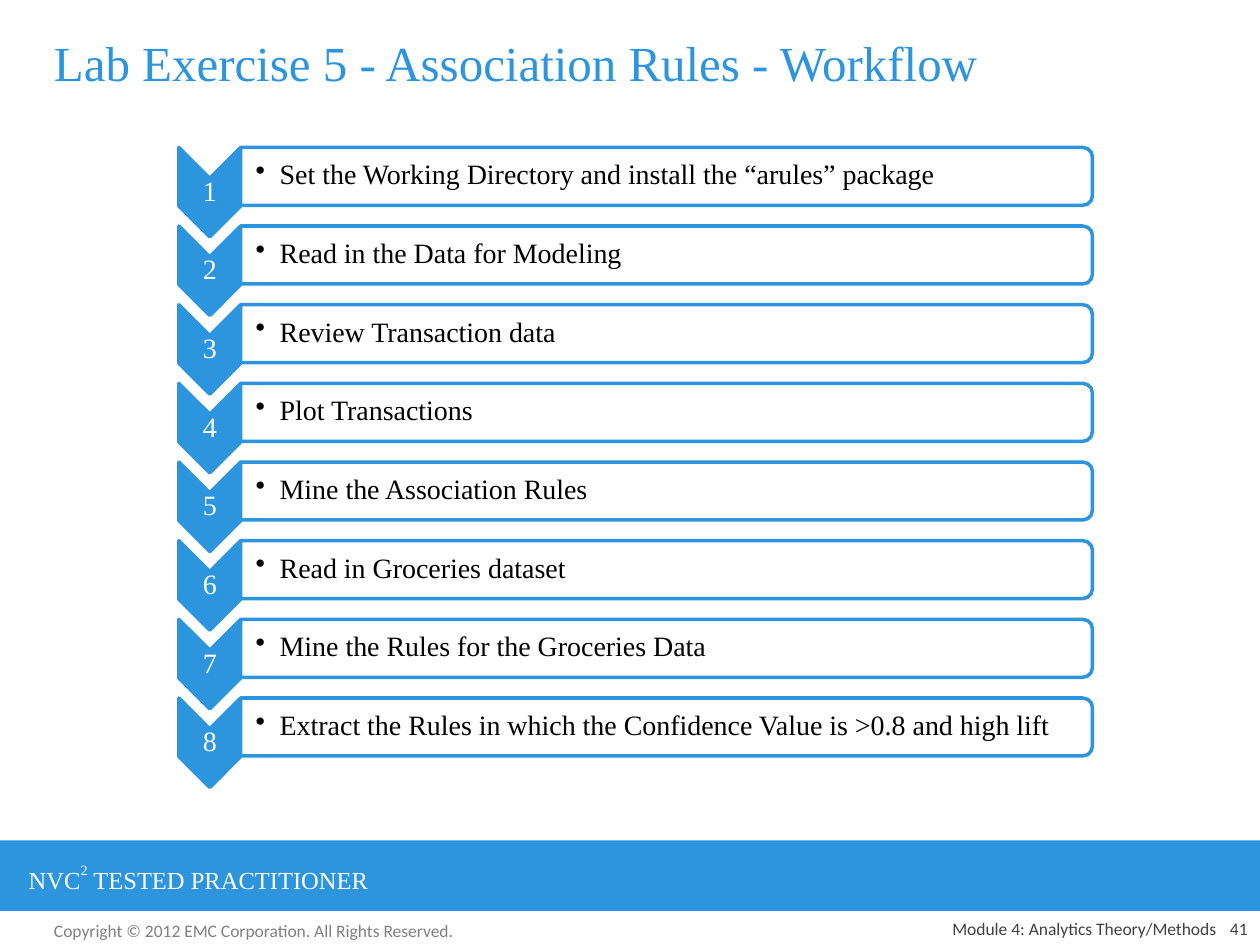
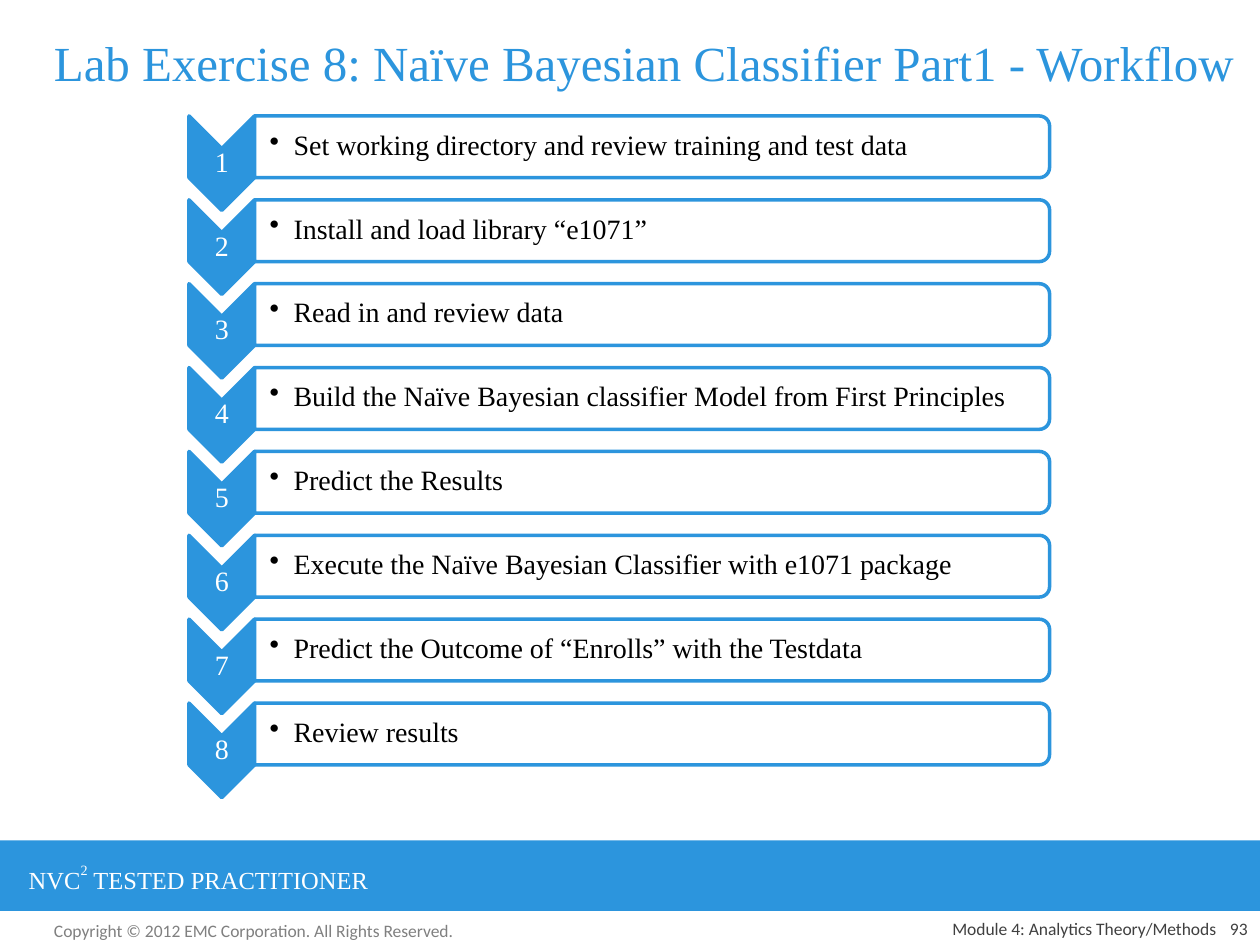
"""Build two lab workflow slides, each a column of numbered steps."""
import pptx
import pptx.util
import pptx.dml.color
import pptx.enum.shapes
import pptx.enum.text
import pptx.oxml

Inches, Pt = pptx.util.Inches, pptx.util.Pt
Color = pptx.dml.color.RGBColor
Shape = pptx.enum.shapes.MSO_SHAPE
Align = pptx.enum.text.PP_ALIGN
Anchor = pptx.enum.text.MSO_ANCHOR

BLUE = Color(0x2C, 0x95, 0xDD)
WHITE = Color(0xFF, 0xFF, 0xFF)
BLACK = Color(0x00, 0x00, 0x00)
GRAY = Color(0x80, 0x80, 0x80)
DARK = Color(0x40, 0x40, 0x40)
SERIF, SANS = "Times New Roman", "Calibri"
XMLNS = 'xmlns:a="http://schemas.openxmlformats.org/drawingml/2006/main"'

RIGHTS = "Copyright © 2012 EMC Corporation. All Rights Reserved."
MODULE = "Module 4: Analytics Theory/Methods"
BRAND = ("NVC", "2", " TESTED PRACTITIONER")

LABS = [
    {
        "title": "Lab Exercise 5 - Association Rules - Workflow",
        "page": "41", "width": 9.25,
        "left": 1.42, "top": 1.17, "pitch": 4.37 / 7,
        "arrow": (0.49, 0.71), "bar": (6.76, 0.46),
        "steps": [
            "Set the Working Directory and install the “arules” package",
            "Read in the Data for Modeling",
            "Review Transaction data",
            "Plot Transactions",
            "Mine the Association Rules",
            "Read in Groceries dataset",
            "Mine the Rules for the Groceries Data",
            "Extract the Rules in which the Confidence Value is >0.8 and high lift",
        ],
    },
    {
        "title": "Lab Exercise 8: Naïve Bayesian Classifier Part1 - Workflow",
        "page": "93", "width": 9.67,
        "left": 1.5, "top": 0.92, "pitch": 4.66 / 7,
        "arrow": (0.52, 0.75), "bar": (6.31, 0.49),
        "steps": [
            "Set working directory and review training and test data",
            "Install and load library “e1071”",
            "Read in and review data",
            "Build the Naïve Bayesian classifier Model from First Principles",
            "Predict the Results",
            "Execute the Naïve Bayesian Classifier with e1071 package",
            "Predict the Outcome of “Enrolls” with the Testdata",
            "Review results",
        ],
    },
]


def add_text(slide, box, runs, size, color, face=SERIF, align=Align.LEFT,
             anchor=Anchor.TOP, inset=None, bullet=False):
    frame = slide.shapes.add_textbox(*map(Inches, box)).text_frame
    frame.word_wrap = True
    frame.vertical_anchor = anchor
    if inset is not None:
        frame.margin_left = Inches(inset)
        frame.margin_top = frame.margin_right = frame.margin_bottom = Inches(0.01)
    para = frame.paragraphs[0]
    for words in runs:
        para.add_run().text = words
    para.alignment = align
    if inset is not None:
        para.line_spacing = 0.9
    if bullet:
        props = para._p.get_or_add_pPr()
        props.set("marL", str(Inches(0.19)))
        props.set("indent", str(-Inches(0.19)))
        props.append(pptx.oxml.parse_xml(f'<a:buChar {XMLNS} char="•"/>'))
    para.font.size = Pt(size)
    para.font.name = face
    para.font.color.rgb = color
    return para


def add_block(slide, kind, box, fill, lined=True):
    """Add a filled shape; box is its frame before any turn."""
    block = slide.shapes.add_shape(kind, *map(Inches, box))
    block.shadow.inherit = False
    block.fill.solid()
    block.fill.fore_color.rgb = fill
    if lined:
        block.line.color.rgb = BLUE
        block.line.width = Pt(2)
        block.line._get_or_add_ln().append(pptx.oxml.parse_xml(f"<a:round {XMLNS}/>"))
    else:
        block.line.fill.background()
    return block


def add_turned(slide, kind, left, top, wide, tall, fill):
    """Add a shape turned by 90 degrees that covers the given area."""
    shift = (wide - tall) / 2
    block = add_block(slide, kind, (left + shift, top - shift, tall, wide), fill)
    block.rotation = 90


def add_frame(slide, lab):
    add_text(slide, (0.33, 7.25, 3.42, 0.27), [RIGHTS], 10, GRAY, SANS)
    add_block(slide, Shape.RECTANGLE, (0, 6.67, 10, 0.56), BLUE, lined=False)
    brand = add_text(slide, (0.13, 6.79, 3.7, 0.34), BRAND, 14, WHITE)
    brand.runs[1]._r.get_or_add_rPr().set("baseline", "56000")
    add_text(slide, (0.33, 0.08, lab["width"], 0.83), [lab["title"]], 28, BLUE,
             anchor=Anchor.MIDDLE)
    for box, words in (((5.17, 7.25, 4.58, 0.25), MODULE),
                       ((9.5, 7.25, 0.5, 0.25), lab["page"])):
        add_text(slide, box, [words], 10, DARK, SANS, Align.RIGHT, Anchor.BOTTOM)


def add_steps(slide, lab):
    left, (wide, tall), (span, high) = lab["left"], lab["arrow"], lab["bar"]
    edge = left + wide
    for index, step in enumerate(lab["steps"]):
        top = lab["top"] + index * lab["pitch"]
        add_turned(slide, Shape.CHEVRON, left, top, wide, tall, BLUE)
        add_text(slide, (left, top + wide / 2, wide, tall - wide), [str(index + 1)],
                 16, WHITE, align=Align.CENTER, anchor=Anchor.MIDDLE, inset=0.01)
        add_turned(slide, Shape.ROUND_2_SAME_RECTANGLE, edge, top, span, high, WHITE)
        add_text(slide, (edge, top + 0.02, span - 0.02, high - 0.05), [step], 16, BLACK,
                 anchor=Anchor.MIDDLE, inset=0.12, bullet=True)


def main():
    deck = pptx.Presentation()
    deck.slide_width, deck.slide_height = Inches(10), Inches(7.5)
    for lab in LABS:
        slide = deck.slides.add_slide(deck.slide_layouts[6])
        add_frame(slide, lab)
        add_steps(slide, lab)
    deck.save("out.pptx")


if __name__ == "__main__":
    main()
